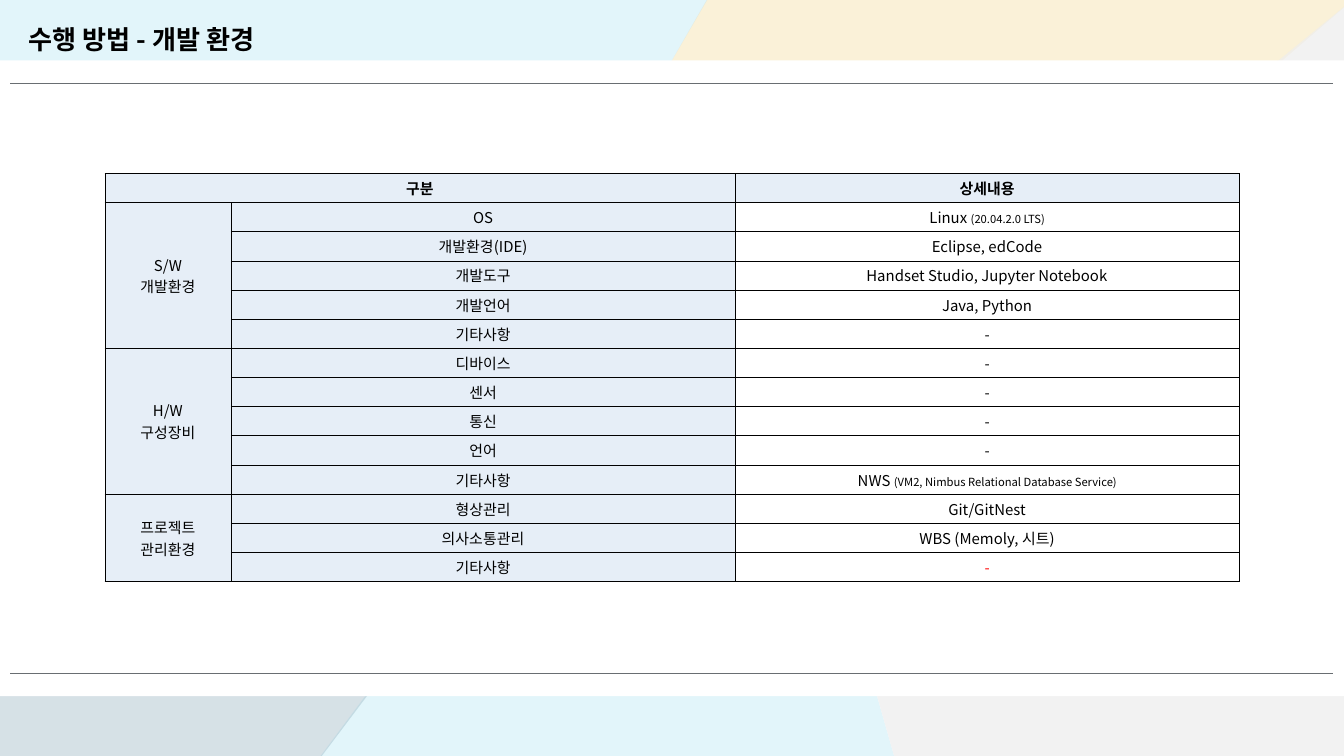
from dataclasses import dataclass

from lxml.etree import SubElement
from pptx import Presentation
from pptx.dml.color import RGBColor
from pptx.enum.shapes import MSO_CONNECTOR, MSO_SHAPE
from pptx.enum.text import MSO_ANCHOR, MSO_AUTO_SIZE, PP_ALIGN
from pptx.oxml import parse_xml
from pptx.oxml.ns import nsdecls, qn
from pptx.util import Inches, Pt


@dataclass(frozen=True)
class Theme:
    font: str = "Noto Sans CJK KR"
    title_size: float = 14
    cell_size: float = 8
    note_size: float = 6
    rule_width: float = 0.75
    border_width: float = 0.28
    text: str = "000000"
    alert: str = "FF0000"
    paper: str = "FFFFFF"
    rule: str = "696E72"
    label_fill: str = "E6EEF7"
    blue: str = "9EDDEF"
    cream: str = "F7E5B7"
    slate: str = "96B3C1"
    gray: str = "EEEEEE"


THEME = Theme()
SLIDE_WIDTH = Inches(10)
SLIDE_HEIGHT = SLIDE_WIDTH * 9 // 16

# Background facets: colour, opacity in percent, corners in percent of the slide
FACETS = [
    (THEME.blue, 29, [(22.1, 104.18), (67.2, 104.18), (54.7, 26.49)]),
    (THEME.cream, 53, [(101, -0.53), (101, -2.49), (53.4, -2.49),
                       (43.3, 28.62), (91.7, 13.69)]),
    (THEME.slate, 39, [(-0.8, 105.42), (-0.8, 57.07), (54.9, 27.02), (21.2, 106.49)]),
    (THEME.blue, 29, [(-0.7, 57.07), (-0.7, -1.78), (53.2, -1.78), (41.6, 33.6)]),
    (THEME.gray, 72, [(67.2, 104.18), (101, 104.18), (101, -0.53), (60, 59.2)]),
]

# Table content: group lines, then (item, detail, small note)
HEADINGS = ("구분", "상세내용")
GROUPS = [
    (["S/W", "개발환경"], [
        ("OS", "Linux ", "(20.04.2.0 LTS)"),
        ("개발환경(IDE)", "Eclipse, edCode", ""),
        ("개발도구", "Handset Studio, Jupyter Notebook", ""),
        ("개발언어", "Java, Python", ""),
        ("기타사항", "-", ""),
    ]),
    (["H/W", "구성장비"], [
        ("디바이스", "-", ""),
        ("센서", "-", ""),
        ("통신", "-", ""),
        ("언어", "-", ""),
        ("기타사항", "NWS ", "(VM2, Nimbus Relational Database Service)"),
    ]),
    (["프로젝트", "관리환경"], [
        ("형상관리", "Git/GitNest", ""),
        ("의사소통관리", "WBS (Memoly, 시트)", ""),
        ("기타사항", "-", ""),
    ]),
]


def x(percent):
    return round(SLIDE_WIDTH * percent / 100)


def y(percent):
    return round(SLIDE_HEIGHT * percent / 100)


def color(value):
    return RGBColor.from_string(value)


def add_run(paragraph, text, size, bold=False, ink=THEME.text):
    run = paragraph.add_run()
    run.text = text
    run.font.name = THEME.font
    run.font.size = Pt(size)
    run.font.bold = bold
    run.font.color.rgb = color(ink)
    SubElement(run.font._element, qn("a:ea"), typeface=THEME.font)


def paint(shape, fill):
    shape.shadow.inherit = False
    shape.fill.solid()
    shape.fill.fore_color.rgb = color(fill)
    shape.line.fill.background()


def add_facet(slide, fill, opacity, corners):
    points = [(x(across), y(down)) for across, down in corners]
    builder = slide.shapes.build_freeform(*points[0])
    builder.add_line_segments(points[1:], close=True)
    shape = builder.convert_to_shape()
    paint(shape, fill)
    fill_color = shape._element.spPr.find(qn("a:solidFill"))[0]
    SubElement(fill_color, qn("a:alpha"), val=str(opacity * 1000))


def add_rule(slide, down):
    rule = slide.shapes.add_connector(
        MSO_CONNECTOR.STRAIGHT, x(0.75), y(down), x(99.2), y(down))
    rule.line.color.rgb = color(THEME.rule)
    rule.line.width = Pt(THEME.rule_width)
    SubElement(rule._element.spPr, qn("a:effectLst"))


def set_title(slide, text):
    title = slide.shapes.title
    slide.shapes._spTree.append(title._element)  # bring in front of the background
    title.left, title.top, title.width, title.height = x(1.1), y(-3.2), x(31.6), y(10.49)
    frame = title.text_frame
    frame.word_wrap = True
    frame.auto_size = MSO_AUTO_SIZE.SHAPE_TO_FIT_TEXT
    frame.vertical_anchor = MSO_ANCHOR.MIDDLE
    paragraph = frame.paragraphs[0]
    paragraph.alignment = PP_ALIGN.LEFT
    paragraph.line_spacing = 2.5
    add_run(paragraph, text, THEME.title_size, bold=True)


def style_cell(cell, fill, side_inset):
    cell.margin_left = cell.margin_right = Inches(side_inset)
    cell.margin_top = cell.margin_bottom = Inches(0.02)
    cell.vertical_anchor = MSO_ANCHOR.MIDDLE
    if fill:
        cell.fill.solid()
        cell.fill.fore_color.rgb = color(fill)
    else:
        cell.fill.background()
    properties = cell._tc.get_or_add_tcPr()
    for index, side in enumerate(("lnL", "lnR", "lnT", "lnB")):
        properties.insert(index, parse_xml(
            f'<a:{side} {nsdecls("a")} w="{Pt(THEME.border_width)}"><a:solidFill>'
            f'<a:srgbClr val="{THEME.text}"/></a:solidFill></a:{side}>'))
    if cell.is_spanned:
        SubElement(cell.text_frame.paragraphs[0]._p, qn("a:endParaRPr"),
                   sz=str(THEME.cell_size * 100))


def write_cell(cell, lines, note="", bold=False, ink=THEME.text):
    frame = cell.text_frame
    for index, line in enumerate(lines):
        paragraph = frame.add_paragraph() if index else frame.paragraphs[0]
        paragraph.alignment = PP_ALIGN.CENTER
        add_run(paragraph, line, THEME.cell_size, bold, ink)
        if note:
            add_run(paragraph, note, THEME.note_size, bold, ink)


def add_environment_table(slide):
    row_count = 1 + sum(len(items) for _, items in GROUPS)
    table = slide.shapes.add_table(
        row_count, 3, x(7.8), y(22.93), x(84.4), y(54.04)).table
    table.first_row = table.horz_banding = False
    for column, width in zip(table.columns, (9.4, 37.5, 37.5)):
        column.width = x(width)

    # Heading row
    table.cell(0, 0).merge(table.cell(0, 1))
    for column, heading in zip((0, 2), HEADINGS):
        write_cell(table.cell(0, column), [heading], bold=True)

    # Grouped rows
    row = 1
    for group, items in GROUPS:
        table.cell(row, 0).merge(table.cell(row + len(items) - 1, 0))
        write_cell(table.cell(row, 0), group)
        for item, detail, note in items:
            ink = THEME.alert if row == row_count - 1 else THEME.text
            write_cell(table.cell(row, 1), [item])
            write_cell(table.cell(row, 2), [detail], note, ink=ink)
            row += 1

    # Fills, insets and borders
    for row in range(row_count):
        for column in range(3):
            is_detail = row > 0 and column == 2
            style_cell(table.cell(row, column),
                       None if is_detail else THEME.label_fill,
                       0.02 if is_detail else 0.06)


def main():
    presentation = Presentation()
    presentation.slide_width, presentation.slide_height = SLIDE_WIDTH, SLIDE_HEIGHT
    slide = presentation.slides.add_slide(presentation.slide_layouts[5])

    # Background facets, content panel and rules
    for facet in FACETS:
        add_facet(slide, *facet)
    panel = slide.shapes.add_shape(
        MSO_SHAPE.RECTANGLE, x(-0.3), y(8), x(100.5), y(84.09))
    paint(panel, THEME.paper)
    for down in (11.02, 89.07):
        add_rule(slide, down)

    # Content
    set_title(slide, "수행 방법 - 개발 환경")
    add_environment_table(slide)
    presentation.save("out.pptx")


if __name__ == "__main__":
    main()
